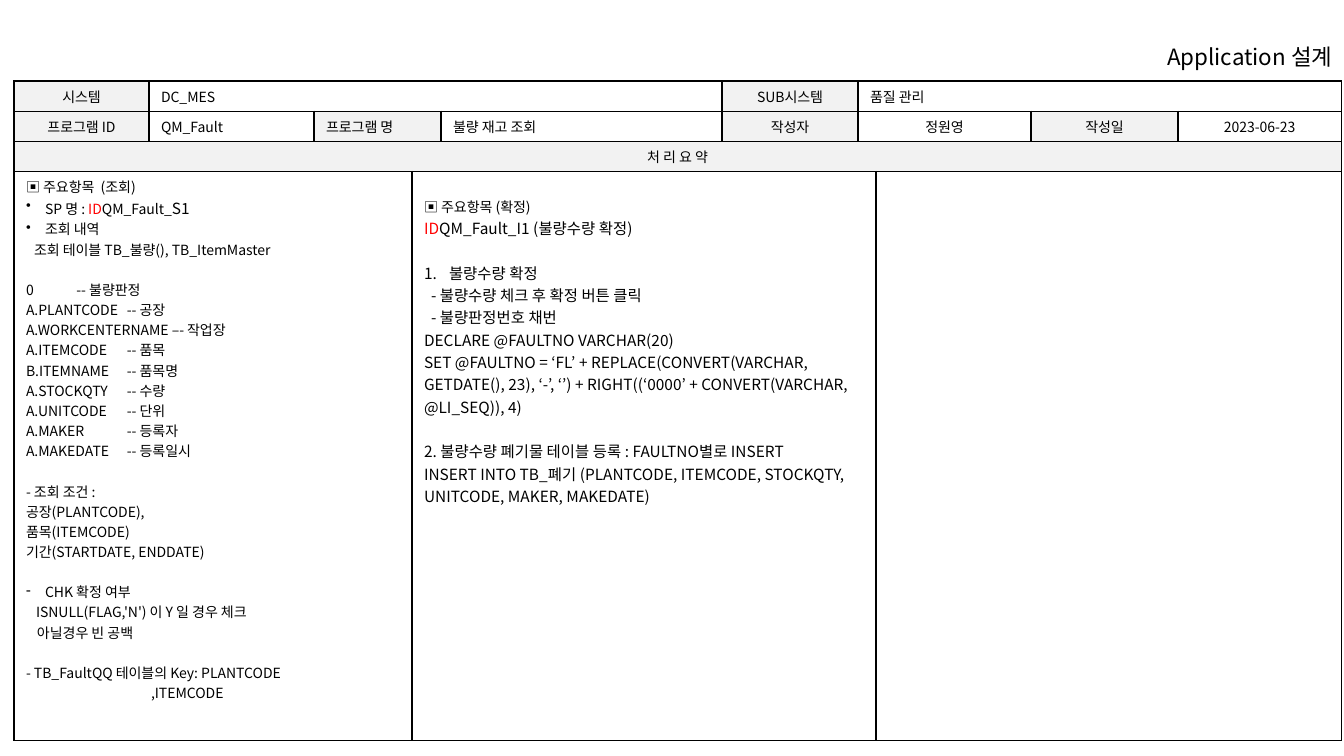
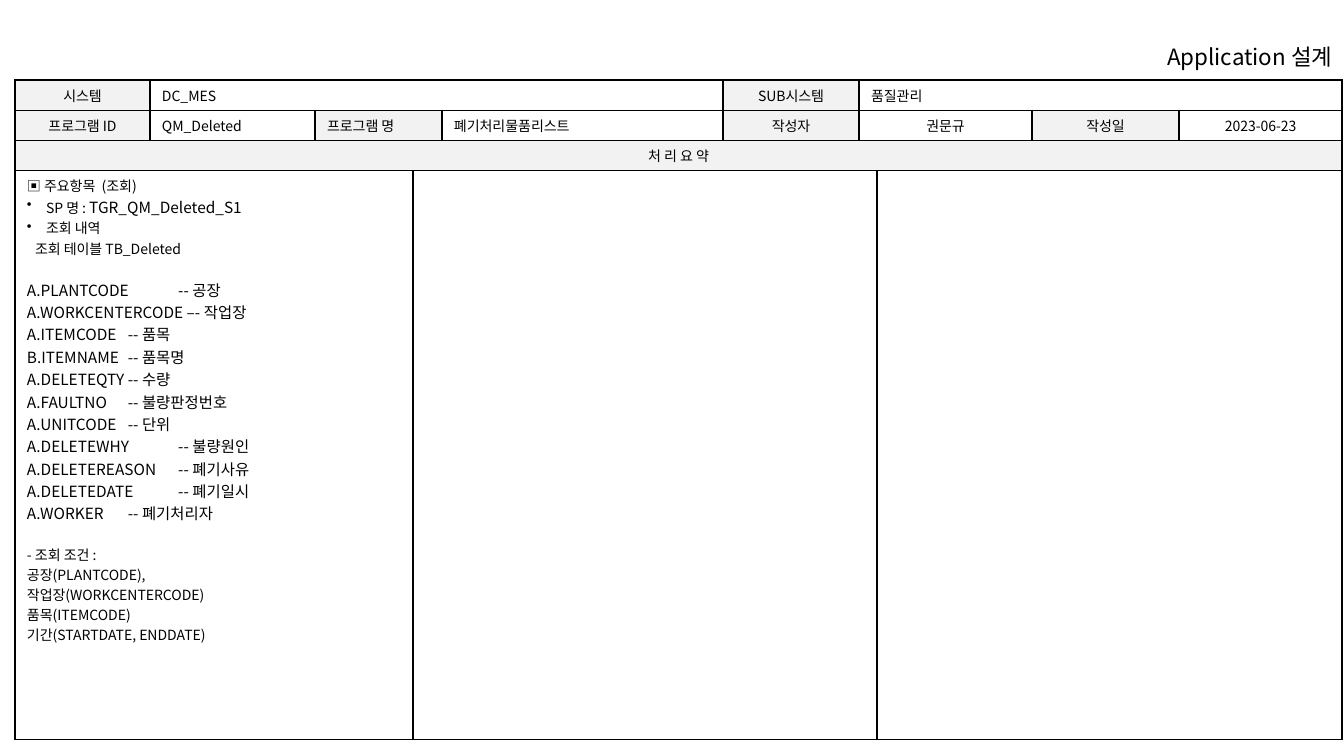
import pptx
import pptx.util
import pptx.dml.color
import pptx.enum.text
import pptx.oxml
import pptx.oxml.ns

# Shared style
PX = 914400 / 100.8
FONT = "Noto Sans CJK KR"
BLACK = pptx.dml.color.RGBColor(0x00, 0x00, 0x00)
RED = pptx.dml.color.RGBColor(0xFF, 0x00, 0x00)
LABEL_GREY = pptx.dml.color.RGBColor(0xF2, 0xF2, 0xF2)
LEFT = pptx.enum.text.PP_ALIGN.LEFT
CENTER = pptx.enum.text.PP_ALIGN.CENTER
RIGHT = pptx.enum.text.PP_ALIGN.RIGHT
MIDDLE = pptx.enum.text.MSO_ANCHOR.MIDDLE
TOP = pptx.enum.text.MSO_ANCHOR.TOP
A = pptx.oxml.ns.nsdecls("a")
BULLET = '<a:buChar %s char="•"/>' % A
DASH = '<a:buChar %s char="-"/>' % A
NUMBER = '<a:buAutoNum %s type="arabicPeriod"/>' % A

# Grid of the form, in pixels
COLUMNS = [135, 165, 98, 29, 281, 136, 18, 155, 147, 163]
ROWS = [30, 30, 30, 569]


def px(length):
    return pptx.util.Emu(round(length * PX))


def write(paragraph, content, size=10, align=LEFT, gap=0, left=0, mark=None, tab=0):
    """Write runs; gap is points above, left and tab are pixels."""
    paragraph.alignment = align
    paragraph.space_before = pptx.util.Pt(gap)
    properties = paragraph._p.get_or_add_pPr()
    properties.set("marL", str(px(left)))
    properties.set("indent", str(-px(left) if mark else 0))
    properties.append(pptx.oxml.parse_xml(mark or "<a:buNone %s/>" % A))
    if tab:
        properties.append(pptx.oxml.parse_xml(
            '<a:tabLst %s><a:tab pos="%d" algn="l"/></a:tabLst>' % (A, px(tab))))
    pieces = [(content, size, BLACK)] if isinstance(content, str) else content
    for text, points, color in pieces:
        run = paragraph.add_run()
        run.text = text
        run.font.size = pptx.util.Pt(points)
        run.font.name = FONT
        run.font.color.rgb = color
        run.font._element.append(pptx.oxml.parse_xml(
            '<a:ea %s typeface="%s"/>' % (A, FONT)))


# Content: each summary line is its text and its paragraph settings
fault_inquiry = [
    ("▣ 주요항목  (조회)", {}),
    ([("SP 명 : ", 10, BLACK), ("ID", 10, RED), ("QM_Fault_", 10, BLACK),
      ("S1", 11, BLACK)], dict(left=19, mark=BULLET)),
    ("조회 내역", dict(left=19, mark=BULLET)),
    ("조회 테이블 TB_불량(), TB_ItemMaster", dict(left=8)),
    ("0\t-- 불량판정", dict(gap=14.4, tab=105)),
    ("A.PLANTCODE\t-- 공장", dict(tab=130)),
    ("A.WORKCENTERNAME –- 작업장", {}),
    ("A.ITEMCODE\t-- 품목", dict(tab=128)),
    ("B.ITEMNAME\t-- 품목명", dict(tab=131)),
    ("A.STOCKQTY\t-- 수량", dict(tab=126)),
    ("A.UNITCODE\t-- 단위", dict(tab=128)),
    ("A.MAKER\t-- 등록자", dict(tab=121)),
    ("A.MAKEDATE\t-- 등록일시", dict(tab=127)),
    ("- 조회 조건 :", dict(gap=14.4)),
    ("공장(PLANTCODE),", {}),
    ("품목(ITEMCODE)", {}),
    ("기간(STARTDATE, ENDDATE)", {}),
    ("CHK 확정 여부", dict(gap=14.4, left=19, mark=DASH)),
    ("ISNULL(FLAG,'N') 이 Y 일 경우 체크", dict(left=10)),
    ("아닐경우 빈 공백", dict(left=11)),
    ("- TB_FaultQQ 테이블의 Key: PLANTCODE", dict(gap=14.4)),
    (",ITEMCODE", dict(left=125)),
]
fault_confirm = [
    ("▣ 주요항목 (확정)", {}),
    ([("ID", 11, RED), ("QM_Fault_I1 (불량수량 확정)", 11, BLACK)], {}),
    ("불량수량 확정", dict(size=11, gap=16, left=25, mark=NUMBER)),
    ("- 불량수량 체크 후 확정 버튼 클릭", dict(size=11, left=7)),
    ("- 불량판정번호 채번", dict(size=11, left=7)),
    ("DECLARE @FAULTNO VARCHAR(20)", dict(size=11)),
    ("SET @FAULTNO = ‘FL’ + REPLACE(CONVERT(VARCHAR, GETDATE(), 23), ‘-’, ‘’)"
     " + RIGHT((‘0000’ + CONVERT(VARCHAR, @LI_SEQ)), 4)", dict(size=11)),
    ("2. 불량수량 폐기물 테이블 등록 : FAULTNO별로 INSERT", dict(size=11, gap=16)),
    ("INSERT INTO TB_폐기 (PLANTCODE, ITEMCODE, STOCKQTY, UNITCODE, MAKER, MAKEDATE)",
     dict(size=11)),
]
deleted_inquiry = [
    ("▣ 주요항목  (조회)", {}),
    ([("SP 명 : ", 10, BLACK), ("TGR_QM_Deleted_S1", 11, BLACK)],
     dict(left=19, mark=BULLET)),
    ("조회 내역", dict(left=19, mark=BULLET)),
    ("조회 테이블 TB_Deleted", dict(left=8)),
    ("A.PLANTCODE\t-- 공장", dict(size=11, gap=14.4, tab=143)),
    ("A.WORKCENTERCODE –- 작업장", dict(size=11)),
    ("A.ITEMCODE\t-- 품목", dict(size=11, tab=141)),
    ("B.ITEMNAME\t-- 품목명", dict(size=11, tab=144)),
    ("A.DELETEQTY\t-- 수량", dict(size=11, tab=142)),
    ("A.FAULTNO\t-- 불량판정번호", dict(size=11, tab=139)),
    ("A.UNITCODE\t-- 단위", dict(size=11, tab=141)),
    ("A.DELETEWHY\t-- 불량원인", dict(size=11, tab=147)),
    ("A.DELETEREASON\t-- 폐기사유", dict(size=11, tab=153)),
    ("A.DELETEDATE\t-- 폐기일시", dict(size=11, tab=148)),
    ("A.WORKER\t-- 폐기처리자", dict(size=11, tab=139)),
    ("- 조회 조건 :", dict(gap=14.4)),
    ("공장(PLANTCODE),", {}),
    ("작업장(WORKCENTERCODE)", {}),
    ("품목(ITEMCODE)", {}),
    ("기간(STARTDATE, ENDDATE)", {}),
]
programs = [
    dict(left=14, top=81, subsystem="품질 관리", id="QM_Fault", name="불량 재고 조회",
         author="정원영", summary=[fault_inquiry, fault_confirm, []]),
    dict(left=15, top=80, subsystem="품질관리", id="QM_Deleted", name="폐기처리물품리스트",
         author="권문규", summary=[deleted_inquiry, [], []]),
]

deck = pptx.Presentation()
deck.slide_width = pptx.util.Inches(13.33)
deck.slide_height = pptx.util.Inches(7.5)

for program in programs:
    slide = deck.slides.add_slide(deck.slide_layouts[5])

    # Title
    title = slide.shapes.title
    title.left, title.top, title.width, title.height = px(1043), px(40), px(299), px(33)
    title.text_frame.auto_size = pptx.enum.text.MSO_AUTO_SIZE.NONE
    title.text_frame.vertical_anchor = MIDDLE
    write(title.text_frame.paragraphs[0], "Application 설계", size=16, align=RIGHT)

    # Bordered form
    form = slide.shapes.add_table(len(ROWS), len(COLUMNS), px(program["left"]),
                                  px(program["top"]), px(sum(COLUMNS)), px(sum(ROWS))).table
    form.first_row = form.horz_banding = False
    for column, width in zip(form.columns, COLUMNS):
        column.width = px(width)
    for row, height in zip(form.rows, ROWS):
        row.height = px(height)
    for cell in form.iter_cells():
        cell.margin_left = cell.margin_right = px(12)
        cell.margin_top = cell.margin_bottom = px(5)
        for side in ("lnL", "lnR", "lnT", "lnB"):
            cell._tc.get_or_add_tcPr().append(pptx.oxml.parse_xml(
                '<a:%s %s w="12700"><a:solidFill><a:srgbClr val="%s"/></a:solidFill></a:%s>'
                % (side, A, BLACK, side)))
        cell.fill.background()

    # Header fields: row, first and last column, text, alignment, is a label
    fields = [
        (0, 0, 0, "시스템", CENTER, True),
        (0, 1, 4, "DC_MES", LEFT, False),
        (0, 5, 5, "SUB시스템", CENTER, True),
        (0, 6, 9, program["subsystem"], LEFT, False),
        (1, 0, 0, "프로그램 ID", CENTER, True),
        (1, 1, 1, program["id"], LEFT, False),
        (1, 2, 3, "프로그램 명", LEFT, True),
        (1, 4, 4, program["name"], LEFT, False),
        (1, 5, 5, "작성자", CENTER, True),
        (1, 6, 7, program["author"], CENTER, False),
        (1, 8, 8, "작성일", CENTER, True),
        (1, 9, 9, "2023-06-23", CENTER, False),
        (2, 0, 9, "처 리 요 약", CENTER, True),
    ]
    for row, first, last, text, align, is_label in fields:
        field = form.cell(row, first)
        if last > first:
            field.merge(form.cell(row, last))
        field.vertical_anchor = MIDDLE
        if is_label:
            field.fill.solid()
            field.fill.fore_color.rgb = LABEL_GREY
        write(field.text_frame.paragraphs[0], text, align=align)

    # Processing summary in three columns
    for (first, last, inset), lines in zip([(0, 2, 5), (3, 6, 25), (7, 9, 5)],
                                           program["summary"]):
        summary = form.cell(3, first)
        summary.merge(form.cell(3, last))
        summary.vertical_anchor = TOP
        summary.margin_top = px(inset)
        for number, (content, settings) in enumerate(lines):
            frame = summary.text_frame
            paragraph = frame.add_paragraph() if number else frame.paragraphs[0]
            write(paragraph, content, **settings)

deck.save("out.pptx")
